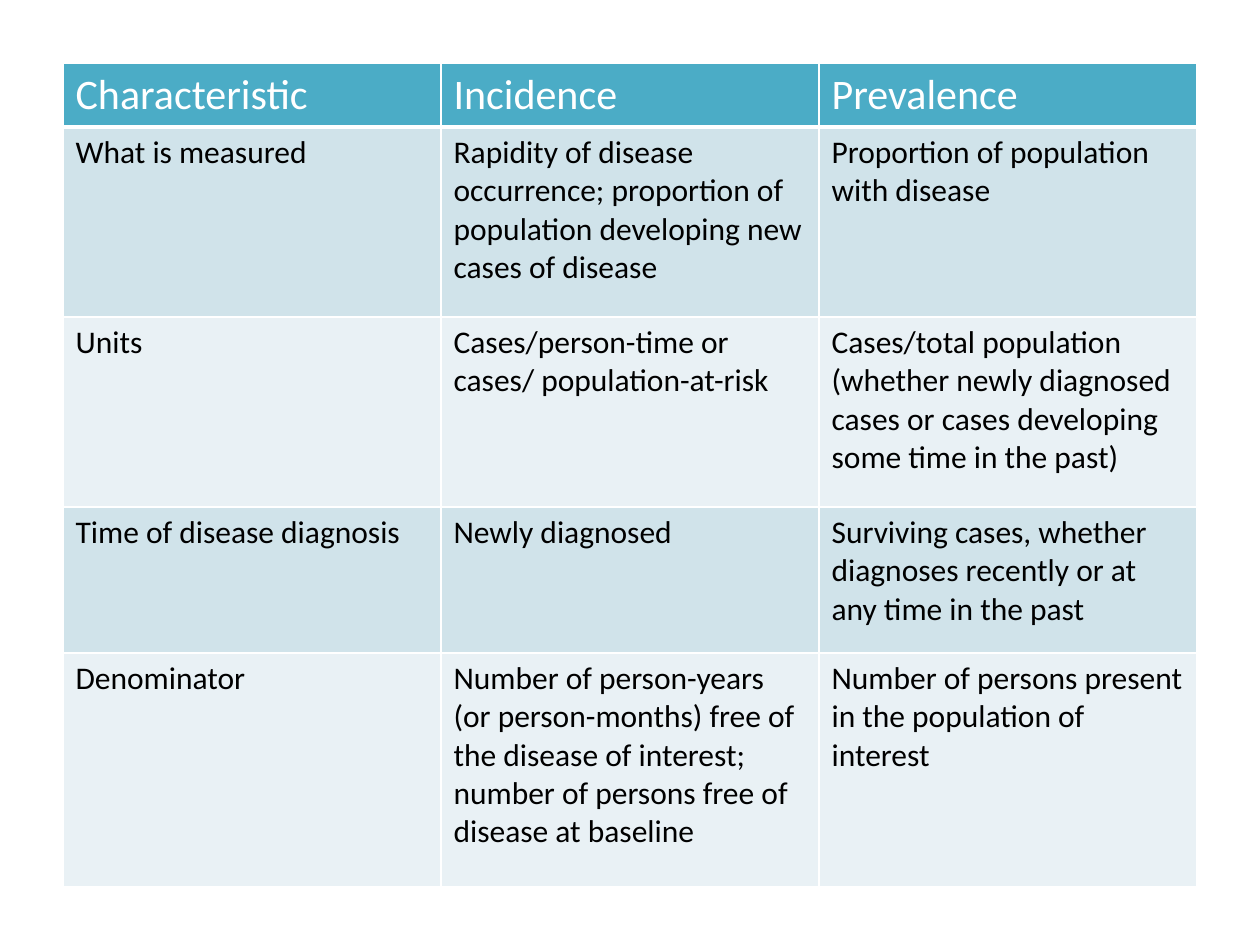
from lxml import etree
from pptx import Presentation, util as u
from pptx.dml import color
from pptx.oxml import ns

PX = u.Inches(1) / 126
ROWS = [
    (58, ["Characteristic", "Incidence", "Prevalence"]),
    (190, ["What is measured",
           "Rapidity of disease occurrence; proportion of population developing new cases of disease",
           "Proportion of population with disease"]),
    (190, ["Units",
           "Cases/person-time or cases/ population-at-risk",
           "Cases/total population (whether newly diagnosed cases or cases developing some time in the past)"]),
    (146, ["Time of disease diagnosis",
           "Newly diagnosed",
           "Surviving cases, whether diagnoses recently or at any time in the past"]),
    (234, ["Denominator",
           "Number of person-years (or person-months) free of the disease of interest; number of persons free of disease at baseline",
           "Number of persons present in the population of interest"]),
]
HEAD = {"name": "Calibri", "size": u.Pt(24), "bold": False}
BODY = {"name": "Calibri", "size": u.Pt(18), "bold": False}


def px(n):
    return u.Emu(round(n * PX))


def paint(item, tone):
    item.rgb = color.RGBColor.from_string(tone)


deck = Presentation()
deck.slide_width, deck.slide_height = px(1260), px(945)
slide = deck.slides.add_slide(deck.slide_layouts[6])
high = sum(size for size, words in ROWS)
table = slide.shapes.add_table(len(ROWS), 3, px(63), px(63), px(1134), px(high)).table

for col in table.columns:
    col.width = px(378)

for i, (size, words) in enumerate(ROWS):
    table.rows[i].height = px(size)
    back = "4BACC6" if i == 0 else "D0E3EA" if i % 2 else "E9F1F5"
    for cell, word in zip(table.rows[i].cells, words):
        cell.fill.solid()
        paint(cell.fill.fore_color, back)
        cell.text = word
        font = cell.text_frame.paragraphs[0].runs[0].font
        for key, value in (BODY if i else HEAD).items():
            setattr(font, key, value)
        paint(font.color, "000000" if i else "FFFFFF")
        props = cell._tc.get_or_add_tcPr()
        for j, side in enumerate(["lnL", "lnR", "lnT", "lnB"]):
            thick = (i == 0 and side == "lnB") or (i == 1 and side == "lnT")
            line = etree.Element(ns.qn("a:" + side), w=str(u.Pt(3 if thick else 1)))
            fill = etree.SubElement(line, ns.qn("a:solidFill"))
            etree.SubElement(fill, ns.qn("a:srgbClr"), val="FFFFFF")
            props.insert(j, line)

deck.save("out.pptx")
